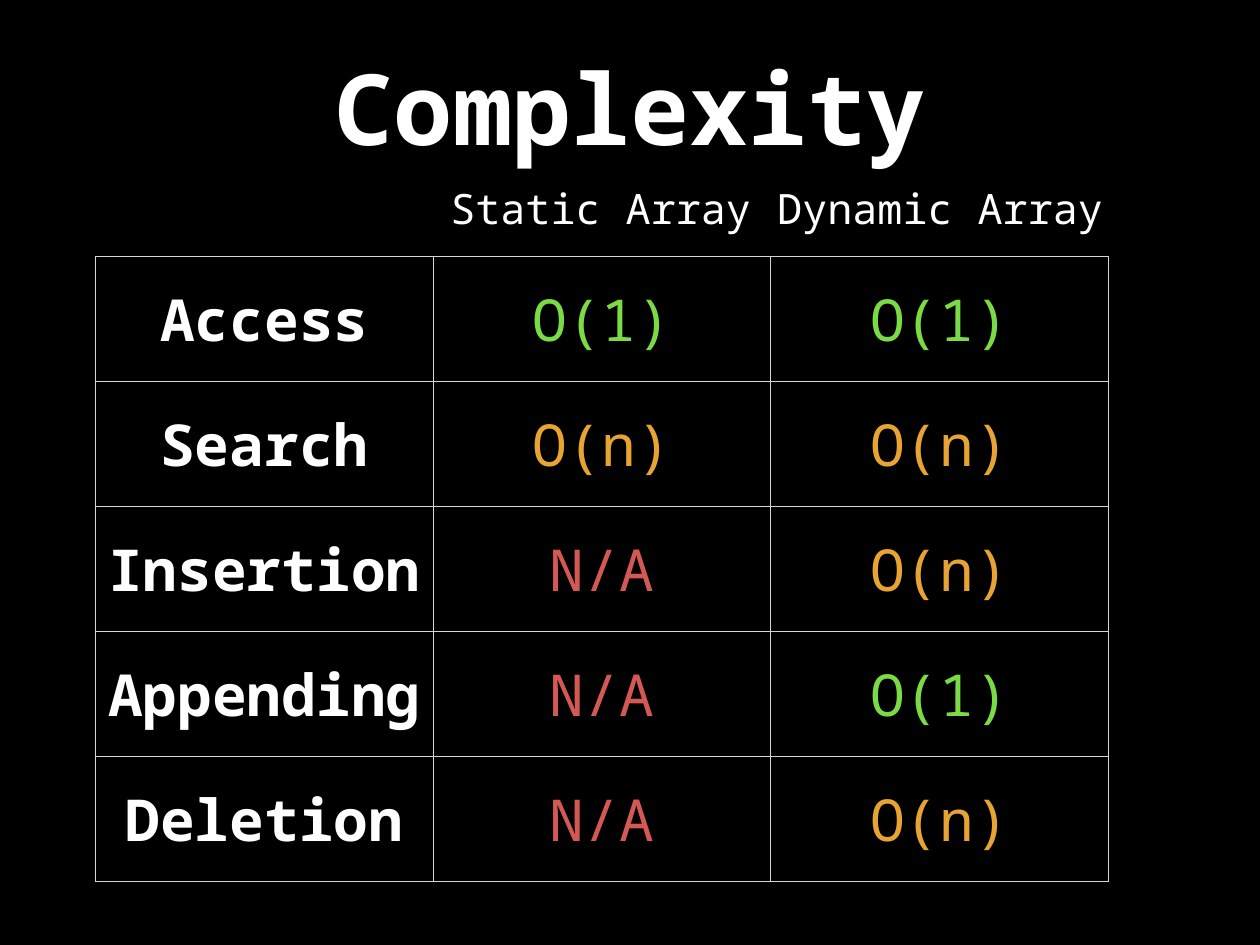
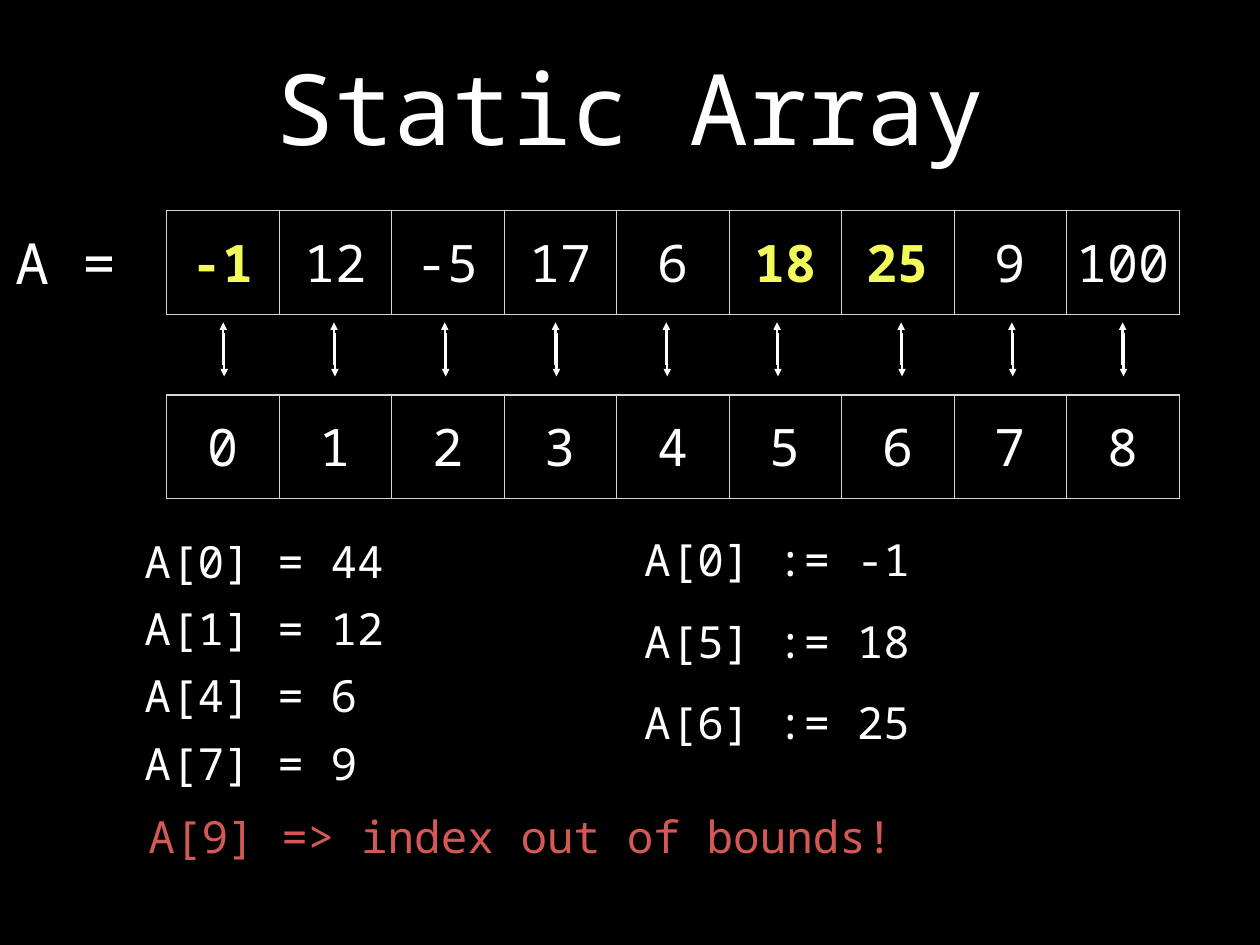
from pptx import Presentation
from pptx.dml.color import RGBColor
from pptx.enum.shapes import MSO_CONNECTOR
from pptx.enum.text import MSO_ANCHOR, MSO_AUTO_SIZE, PP_ALIGN
from pptx.oxml import parse_xml
from pptx.oxml.ns import nsdecls
from pptx.util import Inches, Pt

# Shared look
BLACK = RGBColor(0x00, 0x00, 0x00)
WHITE = RGBColor(0xFF, 0xFF, 0xFF)
GREEN = RGBColor(0x7B, 0xDB, 0x45)
ORANGE = RGBColor(0xE8, 0xA4, 0x32)
RED = RGBColor(0xD4, 0x58, 0x54)
YELLOW = RGBColor(0xF2, 0xFB, 0x5C)
BORDER = RGBColor(0xD6, 0xD6, 0xD6)
FONT = "Noto Sans Mono"
CHAR_WIDTH = 0.6  # advance of one character, as a share of the font size
INSET = 0.06
MARGINS = {f"margin_{side}": Inches(INSET) for side in ("left", "right", "top", "bottom")}

prs = Presentation()
prs.slide_width, prs.slide_height = Inches(14.22), Inches(10.67)
backdrop = prs.slide_master.background.fill
backdrop.solid()
backdrop.fore_color.rgb = BLACK


def add_label(slide, text, left, top, height, size, color=WHITE, bold=False, width=None):
    """Centred text; without a width the box hugs its monospaced line."""
    hugging = width is None
    if hugging:
        width = len(text) * size * CHAR_WIDTH / 72 + 2 * INSET
    frame = slide.shapes.add_textbox(
        Inches(left), Inches(top), Inches(width), Inches(height)).text_frame
    frame.text = text
    frame_format = {**MARGINS, "word_wrap": not hugging,
                    "vertical_anchor": MSO_ANCHOR.MIDDLE,
                    "auto_size": MSO_AUTO_SIZE.SHAPE_TO_FIT_TEXT if hugging
                    else MSO_AUTO_SIZE.NONE}
    for name, value in frame_format.items():
        setattr(frame, name, value)
    line = frame.paragraphs[0]
    line.alignment = PP_ALIGN.CENTER
    for name, value in {"name": FONT, "size": Pt(size), "bold": bold}.items():
        setattr(line.runs[0].font, name, value)
    line.runs[0].font.color.rgb = color


def add_grid(slide, rows, left, top, col_width, row_height, size):
    """Bordered table; each cell is a (text, colour, bold) triple."""
    table = slide.shapes.add_table(
        len(rows), len(rows[0]), Inches(left), Inches(top),
        Inches(col_width * len(rows[0])), Inches(row_height * len(rows))).table
    table.first_row = table.horz_banding = False
    for r, row in enumerate(rows):
        for c, (text, color, bold) in enumerate(row):
            cell = table.cell(r, c)
            cell.text = text
            for name, value in {**MARGINS, "vertical_anchor": MSO_ANCHOR.MIDDLE}.items():
                setattr(cell, name, value)
            for side in "LRTB":
                cell._tc.get_or_add_tcPr().append(parse_xml(
                    f'<a:ln{side} {nsdecls("a")} w="{Pt(1)}"><a:solidFill>'
                    f'<a:srgbClr val="{BORDER}"/></a:solidFill></a:ln{side}>'))
            cell.fill.background()
            line = cell.text_frame.paragraphs[0]
            line.alignment = PP_ALIGN.CENTER
            for name, value in {"name": FONT, "size": Pt(size), "bold": bold}.items():
                setattr(line.runs[0].font, name, value)
            line.runs[0].font.color.rgb = color


# Slides and their titles
slides = []
for title, bold in (("Complexity", True), ("Static Array", False)):
    slides.append(prs.slides.add_slide(prs.slide_layouts[6]))
    add_label(slides[-1], title, 2.6, 0.39, 1.61, 80, bold=bold, width=9.03)
complexity, static_array = slides

# Complexity: cost of each operation by kind of array
COST_COLORS = {"O(1)": GREEN, "O(n)": ORANGE, "N/A": RED}
operations = [
    ("Access", "O(1)", "O(1)"),
    ("Search", "O(n)", "O(n)"),
    ("Insertion", "N/A", "O(n)"),
    ("Appending", "N/A", "O(1)"),
    ("Deletion", "N/A", "O(n)"),
]
add_grid(complexity,
         [[(operation, WHITE, True)] + [(cost, COST_COLORS[cost], False) for cost in costs]
          for operation, *costs in operations],
         1.08, 2.9, 3.81, 1.41, 47)
for array_kind, left in (("Static Array", 5.02), ("Dynamic Array", 8.71)):
    add_label(complexity, array_kind, left, 2.01, 0.67, 34)

# Static array: values above their indices
values = [-1, 12, -5, 17, 6, 18, 25, 9, 100]
assigned = {0, 5, 6}
value_row = [(str(value), YELLOW if i in assigned else WHITE, i in assigned)
             for i, value in enumerate(values)]
index_row = [(str(i), WHITE, False) for i in range(len(values))]
for row, top in ((value_row, 2.38), (index_row, 4.46)):
    add_grid(static_array, [row], 1.88, top, 1.27, 1.17, 42)
add_label(static_array, "A = ", 0.11, 2.53, 0.86, 46)

# Paired arrows between values and indices; the last three sit further right
for i in range(len(values)):
    x = 2.52 + 1.25 * i + (0.15 if i > 5 else 0)
    for arrow_x, start, end in ((x + 0.01, 3.76, 4.25), (x, 4.12, 3.64)):
        arrow = static_array.shapes.add_connector(
            MSO_CONNECTOR.STRAIGHT, Inches(arrow_x), Inches(start),
            Inches(arrow_x), Inches(end))
        arrow.line.color.rgb = WHITE
        arrow.line.width = Pt(2)
        arrow.line._get_or_add_ln().append(
            parse_xml(f'<a:tailEnd {nsdecls("a")} type="triangle"/>'))
        arrow._element.spPr.append(parse_xml(f'<a:effectLst {nsdecls("a")}/>'))

# Reads on the left, assignments on the right, failed read below
statement_columns = [
    (1.57, 5.99, 0.76, ["A[0] = 44", "A[1] = 12", "A[4] = 6", "A[7] = 9"]),
    (7.21, 5.97, 0.92, ["A[0] := -1", "A[5] := 18", "A[6] := 25"]),
]
for left, top, pitch, statements in statement_columns:
    for i, statement in enumerate(statements):
        add_label(static_array, statement, left, top + pitch * i, 0.68, 36)
add_label(static_array, "A[9] => index out of bounds!", 1.36, 9.1, 0.68, 36, RED, width=9.03)

prs.save("out.pptx")
